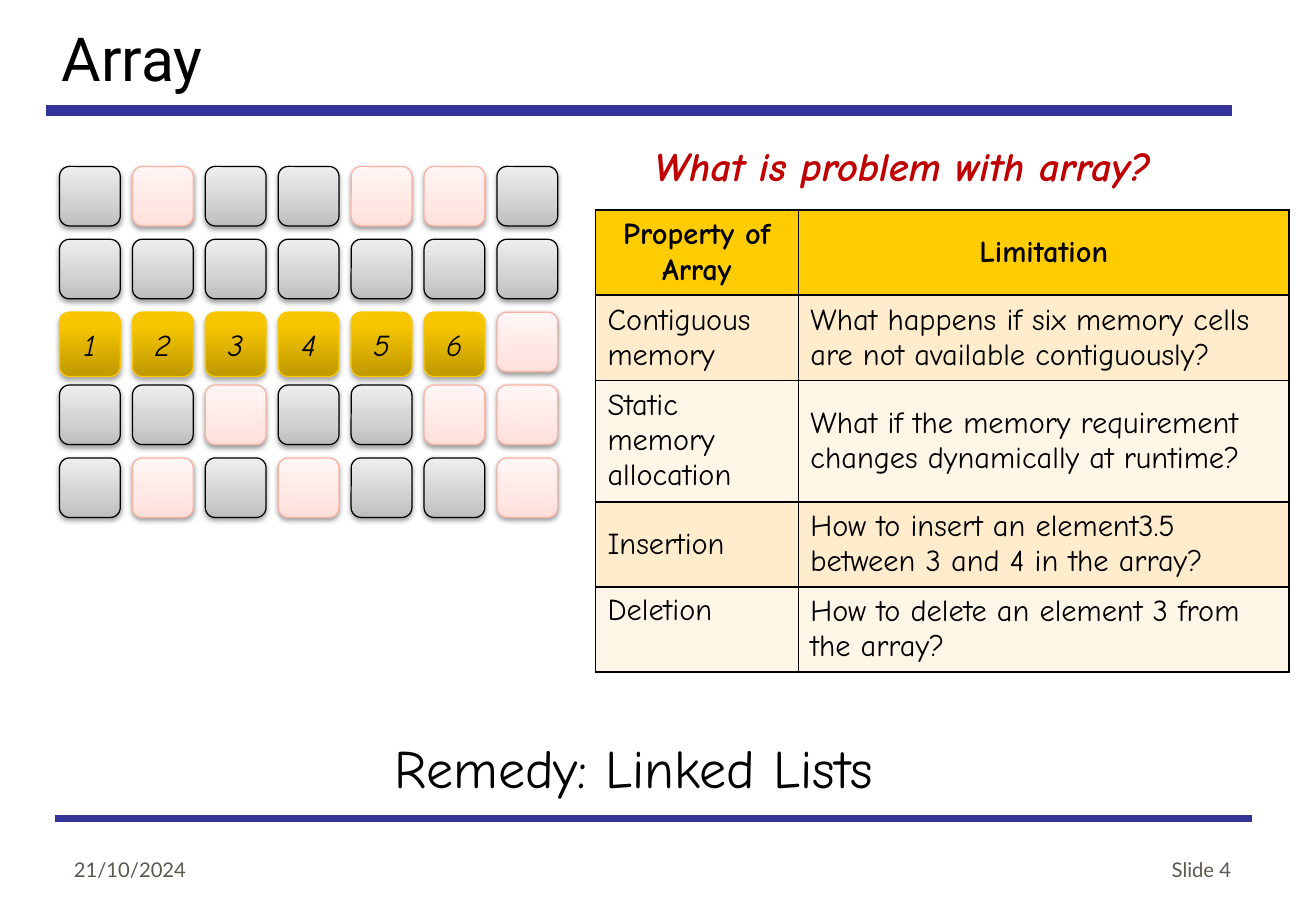
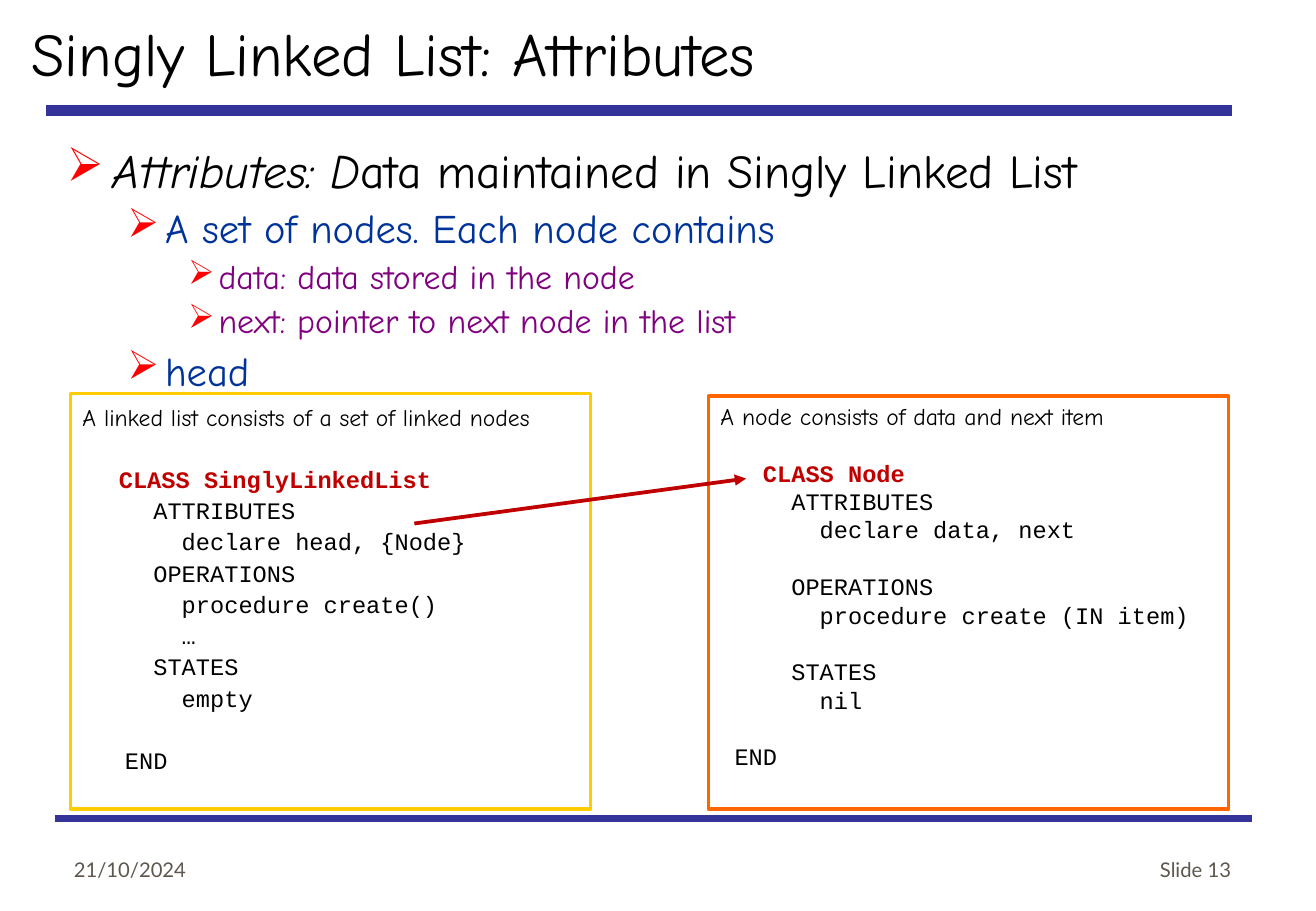
from lxml.etree import SubElement
from pptx import Presentation
from pptx.dml.color import RGBColor
from pptx.enum.shapes import MSO_CONNECTOR, MSO_SHAPE
from pptx.enum.text import MSO_ANCHOR, PP_ALIGN
from pptx.oxml.ns import qn
from pptx.util import Pt

PX = 9144  # EMU in one px, 100 px to the inch
HAND, CODE, SANS, FOOT = "Comic Neue", "Courier New", "Roboto", "Lato"
COLORS = {
    "black": "000000", "white": "FFFFFF", "rule": "333399", "footer": "5E574E",
    "red": "C00000", "bullet": "FF0000", "blue": "003399", "purple": "800080",
    "gold": "FFCC00", "orange": "FF6600", "band_dark": "FFECCC", "band_light": "FFF6E7",
}
# Gradient stops, outline, shadow opacity and distance of each kind of memory cell
CELL_STYLES = {
    "used": ([(0, "BDBDBD"), (35, "D1D1D1"), (100, "EEEEEE")], "000000", 38, 1.6),
    "free": ([(0, "FFDFDA"), (35, "FFE8E4"), (100, "FFF6F5")], "FBB3A4", 38, 1.6),
    "array": ([(0, "BE9800"), (80, "F7C600"), (100, "F8C700")], "F9C800", 35, 1.8),
}
MEMORY_ROWS = ["UFUUFFU", "UUUUUUU", "123456F", "UUFUUFF", "UFUFUUF"]
LIMITATIONS = [
    ("Property of Array", "Limitation"),
    ("Contiguous memory", "What happens if six memory cells are not available contiguously?"),
    ("Static memory allocation", "What if the memory requirement changes dynamically at runtime?"),
    ("Insertion", "How to insert an element3.5 between 3 and 4 in the array?"),
    ("Deletion", "How to delete an element 3 from the array?"),
]
# Left margin, hanging indent, size and colour of each bullet level
LEVELS = [(38, 38, 28, "black"), (81, 31, 24, "blue"), (125, 25, 20, "purple")]
ATTRIBUTES = [
    (0, [("Attributes: D", {"italic": True}), "ata maintained in Singly Linked List"]),
    (1, "A set of nodes. Each node contains"),
    (2, "data: data stored in the node"),
    (2, "next: pointer to next node in the list"),
    (1, "head"),
]
# Code is grouped in blocks, which stand one line apart
LIST_CODE = [
    [
        [("   ", {"size": 12}), "CLASS SinglyLinkedList"],
        "     ATTRIBUTES",
        "       declare head, {Node}",
        "     OPERATIONS",
        "       procedure create()",
        "       …",
        "     STATES",
        "       empty",
    ],
    ["   END"],
]
NODE_CODE = [
    ["   CLASS Node", "     ATTRIBUTES", "       declare data, next"],
    ["     OPERATIONS", "       procedure create (IN item)"],
    ["     STATES", "       nil"],
    [" END"],
]


def color(name):
    return RGBColor.from_string(COLORS.get(name, name))


def px(*lengths):
    return [length * PX for length in lengths]


def write_text(frame, text, align=PP_ALIGN.LEFT, spacing=None, before=0, **font_format):
    """Add a paragraph; text is a string or a list of strings and (string, format) runs."""
    paragraph = frame.add_paragraph() if frame.text else frame.paragraphs[0]
    paragraph.alignment = align
    if spacing:
        paragraph.line_spacing = spacing
    if before:
        paragraph.space_before = Pt(before)
    for part in [text] if isinstance(text, str) else text:
        part_text, changes = (part, {}) if isinstance(part, str) else part
        style = {"font": HAND, "size": 18, "fill": "black", "bold": False,
                 "italic": False, **font_format, **changes}
        run = paragraph.add_run()
        run.text = part_text
        run.font.name = style["font"]
        run.font.size = Pt(style["size"])
        run.font.bold = style["bold"]
        run.font.italic = style["italic"]
        run.font.color.rgb = color(style["fill"])
    return paragraph


def add_text_box(slide, box, text=None, anchor=MSO_ANCHOR.TOP, **text_format):
    frame = slide.shapes.add_textbox(*px(*box)).text_frame
    frame.word_wrap = True
    frame.vertical_anchor = anchor
    if text:
        write_text(frame, text, **text_format)
    return frame


def add_line(slide, start, end, fill, width, arrow=False):
    line = slide.shapes.add_connector(MSO_CONNECTOR.STRAIGHT, *px(*start, *end))
    line.line.color.rgb = color(fill)
    line.line.width = Pt(width)
    properties = line._element.spPr
    if arrow:
        SubElement(properties.find(qn("a:ln")), qn("a:tailEnd"), type="triangle")
    SubElement(properties, qn("a:effectLst"))


def add_slide(presentation, title, title_box, title_font, number):
    """A slide with the shared title, rules and footer."""
    slide = presentation.slides.add_slide(presentation.slide_layouts[6])
    add_line(slide, (38, 91), (1014, 91), "rule", 6)
    add_line(slide, (45, 674), (1030, 674), "rule", 4.5)
    add_text_box(slide, title_box, title, font=title_font, size=36)
    for left, text, align in ((51, "21/10/2024", PP_ALIGN.LEFT),
                              (797, f"Slide {number}", PP_ALIGN.RIGHT)):
        add_text_box(slide, (left, 681, 226, 50), text, MSO_ANCHOR.BOTTOM,
                     align=align, font=FOOT, size=12, fill="footer")
    return slide


# Memory cells
def add_memory_cell(slide, box, kind, label=""):
    stops, outline, opacity, distance = CELL_STYLES[kind]
    shape = slide.shapes.add_shape(MSO_SHAPE.ROUNDED_RECTANGLE, *px(*box))
    shape.line.color.rgb = color(outline)
    shape.line.width = Pt(0.75)
    shape.fill.gradient()
    shape.fill.gradient_angle = 90
    properties = shape._element.spPr
    stop_list = properties.find(qn("a:gradFill")).find(qn("a:gsLst"))
    stop_list.clear()
    for position, value in stops:
        stop = SubElement(stop_list, qn("a:gs"), pos=str(position * 1000))
        SubElement(stop, qn("a:srgbClr"), val=value)
    shape.shadow.inherit = False
    shadow = SubElement(properties.find(qn("a:effectLst")), qn("a:outerShdw"),
                        blurRad=str(Pt(3.1)), dist=str(Pt(distance)),
                        dir="5400000", rotWithShape="0")
    shadow_color = SubElement(shadow, qn("a:srgbClr"), val=COLORS["black"])
    SubElement(shadow_color, qn("a:alpha"), val=str(opacity * 1000))
    if label:
        frame = shape.text_frame
        frame.margin_left = frame.margin_right = 6 * PX
        frame.vertical_anchor = MSO_ANCHOR.MIDDLE
        write_text(frame, label, PP_ALIGN.CENTER, italic=True)


def add_memory_grid(slide, left, top, step=60):
    for row, marks in enumerate(MEMORY_ROWS):
        for column, mark in enumerate(marks):
            x, y = left + column * step, top + row * step
            if mark.isdigit():
                add_memory_cell(slide, (x, y, 50, 53), "array", mark)
            else:
                kind = "used" if mark == "U" else "free"
                add_memory_cell(slide, (x, y, 50, 49), kind)


# Table of limitations
def add_borders(cell):
    properties = cell._tc.get_or_add_tcPr()
    for side in ("lnL", "lnR", "lnT", "lnB"):
        border = SubElement(properties, qn(f"a:{side}"), w=str(Pt(1)))
        fill = SubElement(border, qn("a:solidFill"))
        SubElement(fill, qn("a:srgbClr"), val=COLORS["black"])


def add_limitations(slide, left, top):
    widths, heights = (167, 404), (70, 70, 100, 70, 70)
    box = (left, top, sum(widths), sum(heights))
    table = slide.shapes.add_table(len(heights), len(widths), *px(*box)).table
    for column, width in zip(table.columns, widths):
        column.width = width * PX
    for row, (height, texts) in enumerate(zip(heights, LIMITATIONS)):
        table.rows[row].height = height * PX
        header = row == 0
        fill = "gold" if header else ("band_light", "band_dark")[row % 2]
        for column, text in enumerate(texts):
            cell = table.cell(row, column)
            add_borders(cell)
            cell.fill.solid()
            cell.fill.fore_color.rgb = color(fill)
            cell.vertical_anchor = MSO_ANCHOR.TOP if text == "Deletion" else MSO_ANCHOR.MIDDLE
            write_text(cell.text_frame, text,
                       PP_ALIGN.CENTER if header else PP_ALIGN.LEFT, bold=header)


# Bulleted attributes
def add_attributes(slide, box):
    frame = add_text_box(slide, box)
    for level, text in ATTRIBUTES:
        margin, hanging, size, fill = LEVELS[level]
        paragraph = write_text(frame, text, spacing=1.1, size=size, fill=fill)
        properties = paragraph._p.get_or_add_pPr()
        properties.set("marL", str(margin * PX))
        properties.set("indent", str(-hanging * PX))
        bullet_color = SubElement(properties, qn("a:buClr"))
        SubElement(bullet_color, qn("a:srgbClr"), val=COLORS["bullet"])
        SubElement(properties, qn("a:buChar"), char="➢")


# Framed pseudocode
def add_code_box(slide, box, outline, caption, blocks, pitch):
    shape = slide.shapes.add_shape(MSO_SHAPE.RECTANGLE, *px(*box))
    shape.shadow.inherit = False
    shape.fill.solid()
    shape.fill.fore_color.rgb = color("white")
    shape.line.color.rgb = color(outline)
    shape.line.width = Pt(2)
    frame = shape.text_frame
    frame.word_wrap = True
    frame.vertical_anchor = MSO_ANCHOR.TOP
    write_text(frame, caption, spacing=Pt(pitch), size=14)
    for block_index, block in enumerate(blocks):
        for line_index, line in enumerate(block):
            heading = block_index == line_index == 0
            write_text(frame, line, spacing=Pt(pitch), before=0 if line_index else pitch,
                       font=CODE, size=14, bold=heading, fill="red" if heading else "black")


def build_array_slide(presentation):
    slide = add_slide(presentation, "Array", (41, 12, 921, 71), SANS, 4)
    add_memory_grid(slide, 49, 137)
    add_text_box(slide, (529, 111, 494, 50), "What is problem with array?",
                 size=24, fill="red", bold=True, italic=True)
    add_limitations(slide, 490, 173)
    add_text_box(slide, (315, 600, 461, 64), "Remedy: Linked Lists", size=32)


def build_attributes_slide(presentation):
    slide = add_slide(presentation, "Singly Linked List: Attributes",
                      (16, 8, 1067, 71), HAND, 13)
    add_attributes(slide, (45, 107, 969, 204))
    add_code_box(slide, (58, 324, 428, 342), "gold",
                 "A linked list consists of a set of linked nodes", LIST_CODE, 18.5)
    add_code_box(slide, (583, 326, 428, 340), "orange",
                 "A node consists of data and next item", NODE_CODE, 16.8)
    add_line(slide, (341, 431), (614, 394), "red", 2.25, arrow=True)


def main():
    presentation = Presentation()
    presentation.slide_width, presentation.slide_height = px(1083, 750)
    build_array_slide(presentation)
    build_attributes_slide(presentation)
    presentation.save("out.pptx")


if __name__ == "__main__":
    main()
